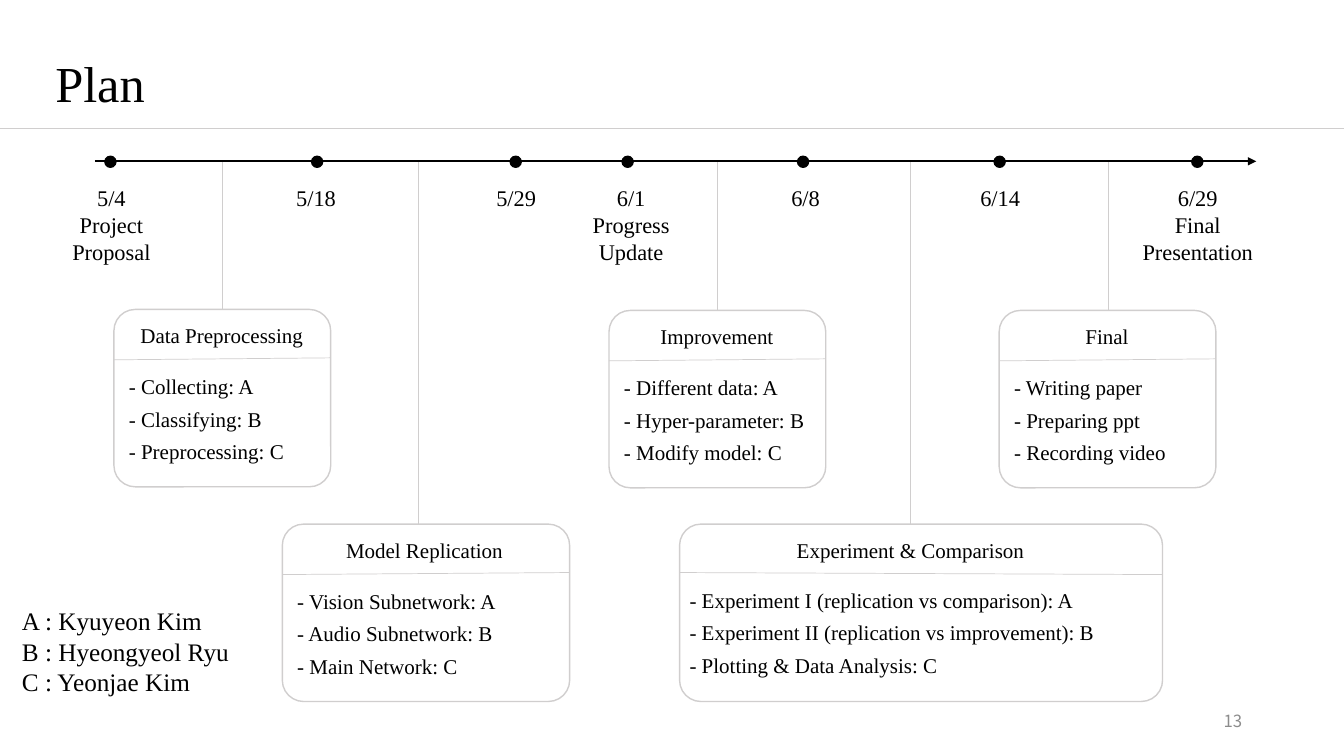
"""Build the project plan slide with its timeline and task cards."""
from dataclasses import dataclass

from lxml.etree import SubElement as Sub
from pptx import Presentation
from pptx.dml.color import RGBColor as Rgb
from pptx.enum.shapes import MSO_CONNECTOR as Con, MSO_SHAPE as Shape
from pptx.enum.text import MSO_ANCHOR as Anchor, PP_ALIGN as Align
from pptx.oxml.ns import qn
from pptx.util import Pt

PX = 9144


@dataclass(frozen=True)
class Theme:
    """Hold the colours, fonts and type sizes."""
    ink: Rgb = Rgb(0, 0, 0)
    rule: Rgb = Rgb(0xD0, 0xCE, 0xCE)
    mute: Rgb = Rgb(0x8C, 0x8C, 0x8C)
    serif: str = "Times New Roman"
    sans: str = "Noto Sans CJK KR"
    title: int = 36
    team: int = 18
    date: int = 16
    card: int = 15
    page: int = 12


LOOK = Theme()

DATES = [
    (104, (32, 157), ["5/4", "Project Proposal"]),
    (309, (278, 71), ["5/18"]),
    (506, (471, 82), ["5/29"]),
    (617, (569, 114), ["6/1", "Progress Update"]),
    (791, (758, 82), ["6/8"]),
    (986, (951, 82), ["6/14"]),
    (1182, (1115, 146), ["6/29", "Final Presentation"]),
]

CARDS = [
    dict(box=(113, 307, 215), stem=221, mid=220, head="Data Preprocessing",
         tasks=["Collecting: A", "Classifying: B", "Preprocessing: C"]),
    dict(box=(280, 520, 285), stem=415, mid=421, head="Model Replication",
         tasks=["Vision Subnetwork: A", "Audio Subnetwork: B",
                "Main Network: C"]),
    dict(box=(604, 308, 215), stem=712, mid=711, head="Improvement",
         tasks=["Different data: A", "Hyper-parameter: B",
                "Modify model: C"]),
    dict(box=(991, 308, 215), stem=1099, mid=1098, head="Final",
         tasks=["Writing paper", "Preparing ppt", "Recording video"]),
    dict(box=(674, 520, 479), stem=903, mid=903,
         head="Experiment & Comparison", pad=(0, 50), drop=(48, 50),
         tasks=["Experiment I (replication vs comparison): A",
                "Experiment II (replication vs improvement): B",
                "Plotting & Data Analysis: C"]),
]


def emu(*sizes):
    """Turn px lengths into EMU."""
    return [size * PX for size in sizes]


def add_text(host, box, lines, size, align=Align.LEFT, space=None,
             font=LOOK.serif, color=LOOK.ink, anchor=Anchor.TOP):
    """Add a text box with one paragraph per line."""
    frame = host.add_textbox(*emu(*box)).text_frame
    frame.word_wrap = True
    frame.vertical_anchor = anchor
    for num, line in enumerate(lines):
        para = frame.add_paragraph() if num else frame.paragraphs[0]
        para.alignment = align
        if space:
            para.line_spacing = space
        run = para.add_run()
        run.text = line
        run.font.name = font
        run.font.size = Pt(size)
        run.font.color.rgb = color


def add_line(host, start, end, color=LOOK.rule, width=0.5, arrow=False):
    """Add a straight line, with an arrowhead at its end if asked."""
    line = host.add_connector(Con.STRAIGHT, *emu(*start, *end))
    line.line.color.rgb = color
    line.line.width = Pt(width)
    if arrow:
        Sub(line.line._get_or_add_ln(), qn("a:tailEnd"), type="triangle")
    Sub(line._element.spPr, qn("a:effectLst"))


def add_form(host, kind, box, color, fill=None):
    """Add a preset shape with a thin outline."""
    form = host.add_shape(kind, *emu(*box))
    form.shadow.inherit = False
    form.line.color.rgb = color
    form.line.width = Pt(1)
    if fill is None:
        form.fill.background()
    else:
        form.fill.solid()
        form.fill.fore_color.rgb = fill
    return form


def add_date(host, dot, span, lines):
    """Add a timeline dot and the label below it."""
    add_form(host, Shape.OVAL, (dot, 155, 11, 11), LOOK.ink, LOOK.ink)
    left, width = span
    tall = 91 if len(lines) > 1 else 37
    add_text(host, (left, 178, width, tall), lines, LOOK.date, Align.CENTER)


def add_card(host, box, stem, mid, head, tasks, pad=(5, 51), drop=(50, 48)):
    """Add a grouped task card hung from the timeline."""
    left, top, width = box
    group = host.add_group_shape().shapes
    add_line(group, (stem, 160), (stem, top))
    form = add_form(group, Shape.ROUNDED_RECTANGLE, (left, top, width, 176),
                    LOOK.rule)
    form.adjustments[0] = 0.12
    add_line(group, (left, top + drop[0]), (left + width, top + drop[1]))
    half = min(mid - left, left + width - mid)
    add_text(group, (mid - half, top + 8, 2 * half, 35), [head], LOOK.card,
             Align.CENTER)
    add_text(group, (left + pad[0], top + pad[1], width - pad[0], 105),
             [f"- {task}" for task in tasks], LOOK.card, space=1.3)


def main():
    """Build and save the slide."""
    deck = Presentation()
    deck.slide_width, deck.slide_height = emu(1333, 750)
    host = deck.slides.add_slide(deck.slide_layouts[6]).shapes
    add_line(host, (0, 127), (1333, 127))
    add_text(host, (45, 54, 1150, 145), ["Plan"], LOOK.title, space=0.9)
    for date in DATES:
        add_date(host, *date)
    for card in CARDS:
        add_card(host, **card)
    add_line(host, (94, 160), (1246, 160), LOOK.ink, 1.5, arrow=True)
    team = ["A : Kyuyeon Kim", "B : Hyeongyeol Ryu", "C : Yeonjae Kim"]
    add_text(host, (12, 596, 250, 101), team, LOOK.team)
    add_text(host, (942, 695, 300, 40), ["13"], LOOK.page, Align.RIGHT,
             font=LOOK.sans, color=LOOK.mute, anchor=Anchor.MIDDLE)
    deck.save("out.pptx")


if __name__ == "__main__":
    main()
